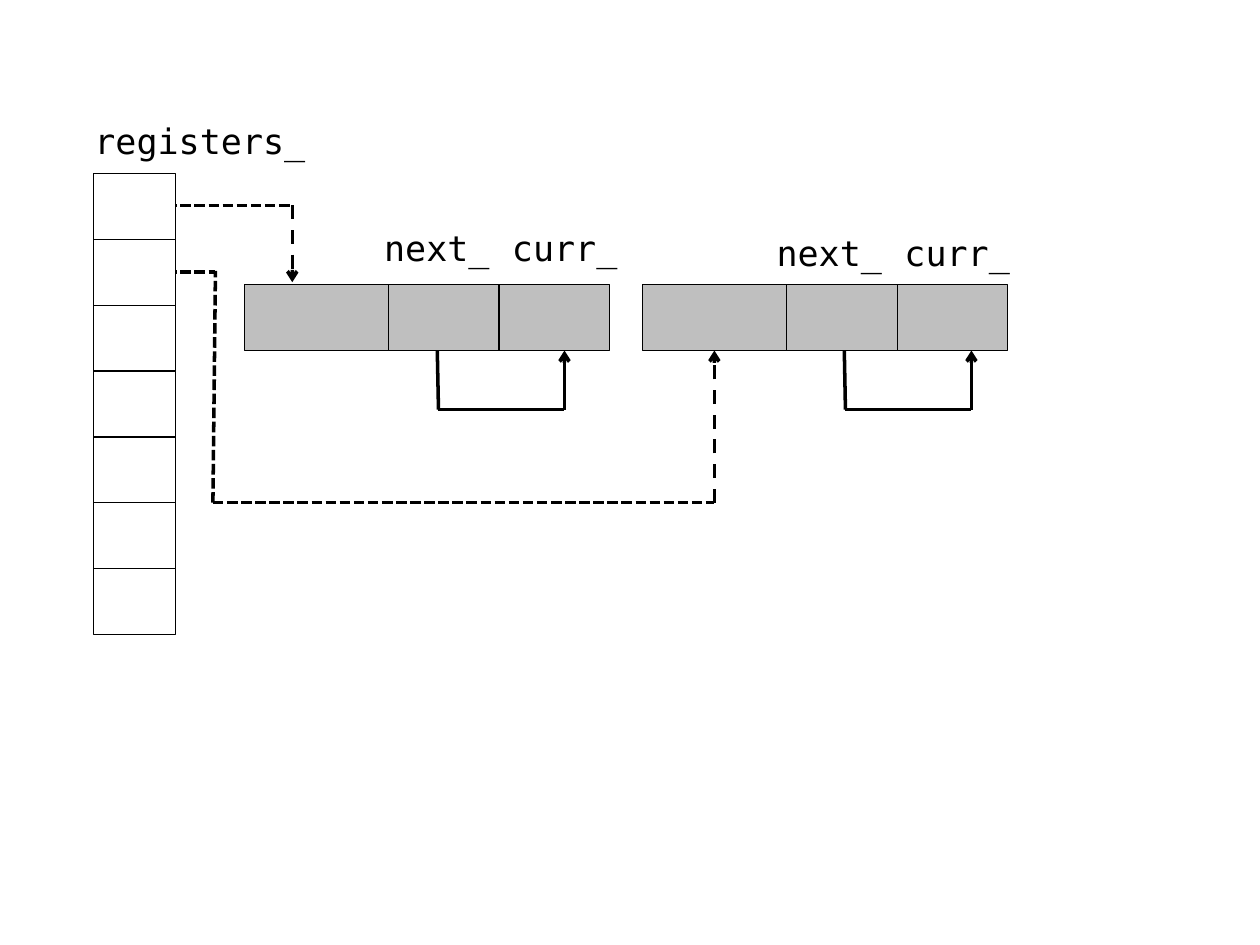
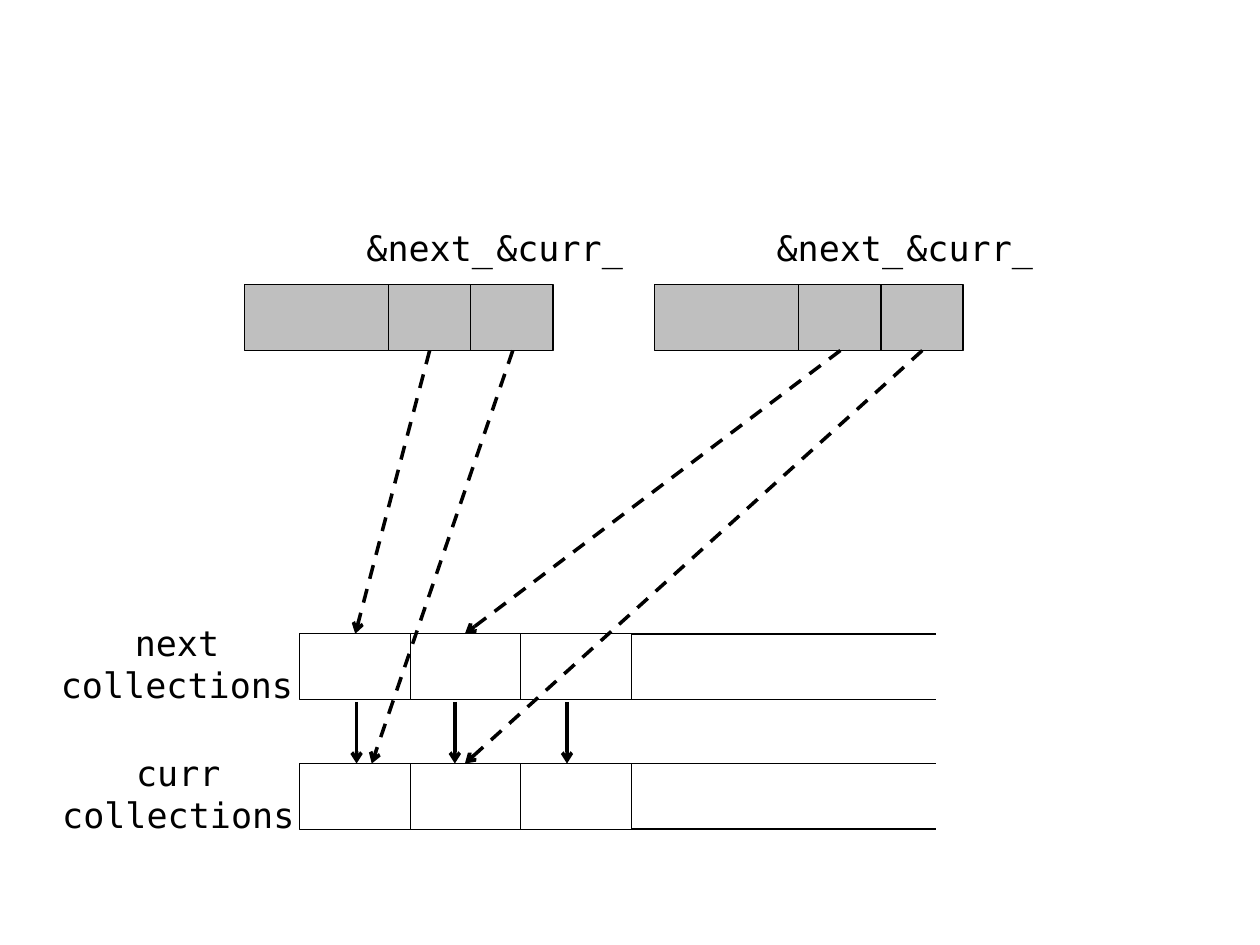
from dataclasses import dataclass

from lxml.etree import SubElement
from pptx import Presentation
from pptx.dml.color import RGBColor
from pptx.enum.shapes import MSO_CONNECTOR, MSO_SHAPE
from pptx.enum.text import MSO_AUTO_SIZE, PP_ALIGN
from pptx.oxml.ns import qn
from pptx.util import Emu, Inches, Pt

BLACK, WHITE, GRAY = "000000", "FFFFFF", "BFBFBF"
FONT = "DejaVu Sans Mono"
COLS, ROWS = 100, 75  # the slide as a grid of square units

prs = Presentation()
prs.slide_width, prs.slide_height = Inches(10), Inches(7.5)

CELL_H = 5.22
HEADER_W, NARROW_W, WIDE_W = 11.45, 6.52, 8.77
RECORD_Y = 22.6
RECORD_BOTTOM = RECORD_Y + CELL_H


@dataclass
class Label:
    """A text with the left top corner and size of its box."""
    text: str
    x: float
    y: float
    w: float
    h: float = 4.4


@dataclass
class Line:
    """A straight line between two grid points."""
    x1: float
    y1: float
    x2: float
    y2: float
    dash: str = ""
    arrow: bool = True
    width: float = 2


def gx(cols: float) -> Emu:
    """Turn grid columns into a length."""
    return Emu(round(cols * prs.slide_width / COLS))


def gy(rows: float) -> Emu:
    """Turn grid rows into a length."""
    return Emu(round(rows * prs.slide_height / ROWS))


def rgb(color: str) -> RGBColor:
    """Read a hex colour."""
    return RGBColor.from_string(color)


def add_cell(shapes, x: float, y: float, w: float, fill: str) -> None:
    """Draw one outlined memory cell."""
    sp = shapes.add_shape(MSO_SHAPE.RECTANGLE, gx(x), gy(y), gx(w), gy(CELL_H))
    sp.shadow.inherit = False
    sp.fill.solid()
    sp.fill.fore_color.rgb = rgb(fill)
    sp.line.color.rgb = rgb(BLACK)
    sp.line.width = Pt(0.75)


def add_row(shapes, x: float, y: float, widths: list[float], fill: str) -> None:
    """Draw adjoining cells from left to right."""
    for i, w in enumerate(widths):
        add_cell(shapes, x + sum(widths[:i]), y, w, fill)


def add_text(s, label: Label, *, size: float = 20, color: str = BLACK,
             align: PP_ALIGN = PP_ALIGN.LEFT) -> None:
    """Write a label, one paragraph for each line of its text."""
    sp = s.shapes.add_textbox(gx(label.x), gy(label.y), gx(label.w), gy(label.h))
    tf = sp.text_frame
    tf.word_wrap = False
    tf.auto_size = MSO_AUTO_SIZE.SHAPE_TO_FIT_TEXT
    for i, text in enumerate(label.text.split("\n")):
        p = tf.add_paragraph() if i else tf.paragraphs[0]
        p.alignment = align
        r = p.add_run()
        r.text = text
        r.font.name, r.font.size = FONT, Pt(size)
        r.font.color.rgb = rgb(color)


def add_line(s, line: Line) -> None:
    """Draw a line with its dash and arrowhead."""
    sp = s.shapes.add_connector(MSO_CONNECTOR.STRAIGHT, gx(line.x1), gy(line.y1),
                                gx(line.x2), gy(line.y2))
    sp.line.color.rgb = rgb(BLACK)
    sp.line.width = Pt(line.width)
    props = sp.element.spPr
    ln = props.find(qn("a:ln"))
    if line.dash:
        SubElement(ln, qn("a:prstDash"), val=line.dash)
    if line.arrow:
        SubElement(ln, qn("a:tailEnd"), type="arrow")
    SubElement(props, qn("a:effectLst"))


def add_slide():
    """Add a blank slide."""
    return prs.slides.add_slide(prs.slide_layouts[6])


def registers_slide() -> None:
    """Registers pointing to records whose next_ leads to their own curr_."""
    s = add_slide()
    lines = [
        Line(13.2, 21.6, 17.1, 21.6, "sysDash", False),
        Line(23.2, 16.3, 23.2, 22.4, "dash"),
        Line(13.2, 16.3, 23.2, 16.3, "sysDash", False),
        Line(16.9, 39.9, 56.7, 39.9, "sysDash", False),
        Line(56.7, 39.9, 56.7, RECORD_BOTTOM, "dash"),
    ]
    for x in (34.8, 67.1):
        lines += [
            Line(x + 10, 32.5, x + 10, RECORD_BOTTOM),
            Line(x, 32.5, x - 0.1, 27.4, arrow=False),
            Line(x, 32.5, x + 10, 32.5, arrow=False),
        ]
    for line in lines:
        add_line(s, line)

    for x in (19.4, 51):
        record = s.shapes.add_group_shape()
        add_row(record.shapes, x, RECORD_Y, [HEADER_W, WIDE_W, WIDE_W], GRAY)
    for x, y in ((29.5, 17.5), (60.65, 17.85)):
        add_text(s, Label("next_", x, y, 10.4))
        add_text(s, Label("curr_", x + 10.15, y, 10.4))

    add_text(s, Label("registers_", 6.5, 9, 18.9))
    for i in range(7):
        add_cell(s.shapes, 7.4, 13.8 + i * CELL_H, NARROW_W, WHITE)
    add_line(s, Line(16.9, 39.9, 17.1, 21.5, "sysDash", False))


def collections_slide() -> None:
    """Records pointing into shared next and curr collections."""
    s = add_slide()
    next_y, curr_y = 50.3, 60.6
    left, right = 23.8, 74.3
    for x in (19.4, 51.95):
        add_row(s.shapes, x, RECORD_Y, [HEADER_W, NARROW_W, NARROW_W], GRAY)
        add_text(s, Label("&next_", x + 8.7, 17.5, 12.1))
        add_text(s, Label("&curr_", x + 19, 17.5, 12.1))

    for name, x, y in (("next", 3.8, next_y), ("curr", 3.9, curr_y)):
        add_row(s.shapes, left, y, [WIDE_W] * 3, WHITE)
        add_text(s, Label(f"{name}\ncollections", x, y - 1.45, 20.5, 7.7),
                 align=PP_ALIGN.CENTER)
        for edge in (y, y + CELL_H):
            add_line(s, Line(left + 3 * WIDE_W, edge, right, edge, arrow=False, width=1))

    for x in (28.3, 36.1, 45):
        add_line(s, Line(x, 55.7, x, curr_y))
    for start, end, y in ((34.1, 28.2, next_y), (40.7, 29.5, curr_y),
                          (66.7, 36.9, next_y), (73.2, 36.9, curr_y)):
        add_line(s, Line(start, RECORD_BOTTOM, end, y, "dash"))


registers_slide()
collections_slide()
prs.save("out.pptx")
